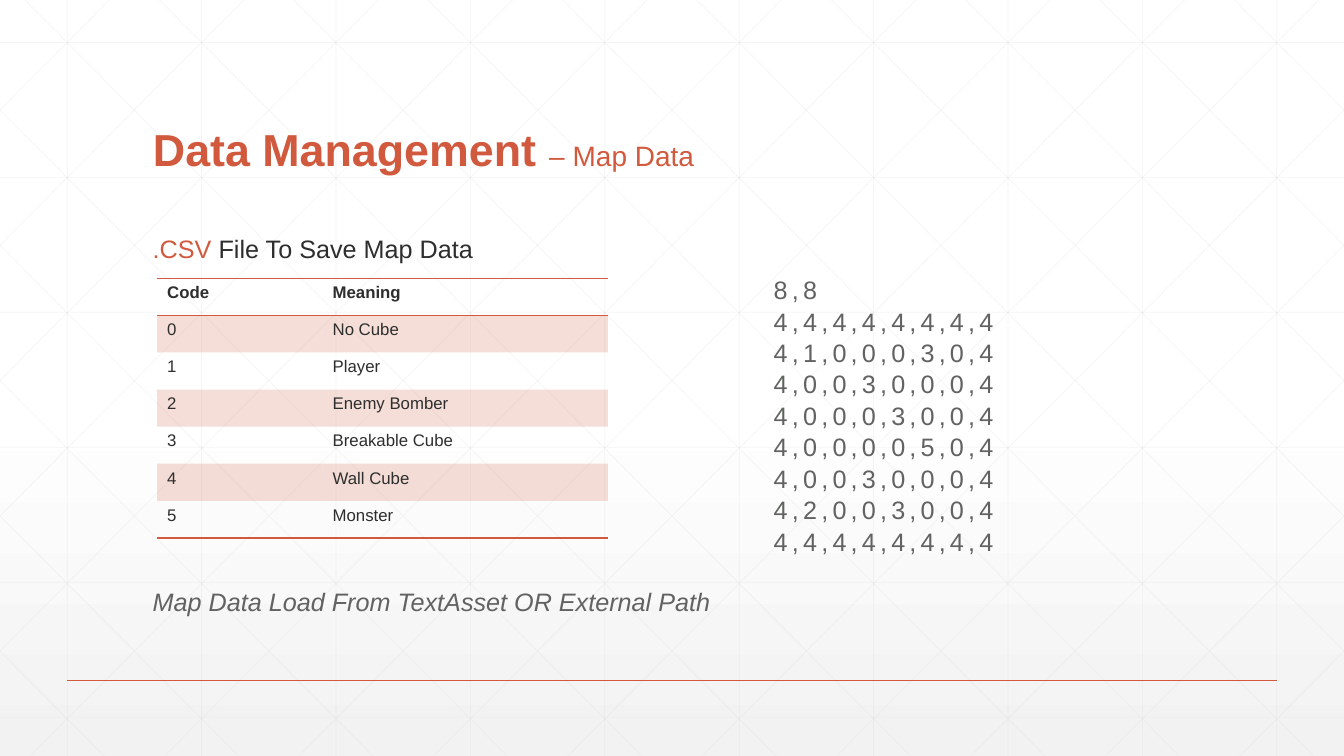
from dataclasses import dataclass

import lxml.etree
import pptx
import pptx.dml.color
import pptx.enum.shapes
import pptx.enum.text
import pptx.oxml.ns
import pptx.util

Cm = pptx.util.Cm
Pt = pptx.util.Pt
qn = pptx.oxml.ns.qn
NO_TABLE_STYLE = "{2D5ABB26-0587-4C30-8999-92F81FD0307C}"


@dataclass(frozen=True)
class Theme:
    """Colours, font and type sizes of the slide."""
    accent: str = "D15A3E"
    dark: str = "2D2E2D"
    muted: str = "616361"
    grid: str = "D9D9D9"
    white: str = "FFFFFF"
    shade: str = "F2F2F2"
    font: str = "Arial"
    title: int = 32
    subtitle: int = 20
    body: int = 18
    cell: int = 12


THEME = Theme()
WIDTH, HEIGHT = 33.87, 19.05

CODES = [
    ("Code", "Meaning"),
    ("0", "No Cube"),
    ("1", "Player"),
    ("2", "Enemy Bomber"),
    ("3", "Breakable Cube"),
    ("4", "Wall Cube"),
    ("5", "Monster"),
]
MAP_ROWS = [
    "8,8",
    "4,4,4,4,4,4,4,4",
    "4,1,0,0,0,3,0,4",
    "4,0,0,3,0,0,0,4",
    "4,0,0,0,3,0,0,4",
    "4,0,0,0,0,5,0,4",
    "4,0,0,3,0,0,0,4",
    "4,2,0,0,3,0,0,4",
    "4,4,4,4,4,4,4,4",
]


def rgb(color):
    """Turn a hex string into a colour value."""
    return pptx.dml.color.RGBColor.from_string(color)


def set_alpha(fill_parent, percent):
    """Make the solid colour below an element partly transparent."""
    color = next(fill_parent.iter(qn("a:srgbClr")))
    lxml.etree.SubElement(color, qn("a:alpha")).set("val", str(percent * 1000))


def format_run(run, size, color, bold=False, italic=False):
    """Apply the theme font and the given style to a run."""
    run.font.name = THEME.font
    run.font.size = Pt(size)
    run.font.color.rgb = rgb(color)
    run.font.bold = bold
    run.font.italic = italic


def add_run(paragraph, text, size, color, **style):
    """Append a formatted run to a paragraph."""
    run = paragraph.add_run()
    run.text = text
    format_run(run, size, color, **style)


def add_line(slide, start, end, color, width, alpha=None):
    """Draw a straight line between two points in centimetres."""
    line = slide.shapes.add_connector(
        pptx.enum.shapes.MSO_CONNECTOR.STRAIGHT,
        Cm(start[0]), Cm(start[1]), Cm(end[0]), Cm(end[1]))
    line.line.color.rgb = rgb(color)
    line.line.width = Pt(width)
    properties = line.element.spPr
    if alpha:
        set_alpha(properties, alpha)
    lxml.etree.SubElement(properties, qn("a:effectLst"))


def add_text_box(slide, box, wrap):
    """Add a text box that grows with its text and return its frame."""
    frame = slide.shapes.add_textbox(*map(Cm, box)).text_frame
    frame.word_wrap = wrap
    frame.auto_size = pptx.enum.text.MSO_AUTO_SIZE.SHAPE_TO_FIT_TEXT
    frame.paragraphs[0].line_spacing = 1.04
    return frame


def add_backdrop(slide, width, height):
    """Fill the background and draw the lattice and the base line."""
    fill = slide.background.fill
    fill.gradient()
    fill.gradient_angle = 270
    for stop, position, color in zip(
            fill.gradient_stops, (0.53, 1), (THEME.white, THEME.shade)):
        stop.position = position
        stop.color.rgb = rgb(color)

    step = width / 10
    lines = [((step * (i + 0.5), 0), (step * (i + 0.5), height)) for i in range(10)]
    lines += [((0, 1.07 + 3.4 * i), (width, 1.07 + 3.4 * i)) for i in range(6)]
    run = 18.93
    slope = height / run
    for i in range(-5, 10):
        origin = 0.63 + step * i
        left, right = max(origin, 0), min(origin + run, width)
        top, bottom = (left - origin) * slope, (right - origin) * slope
        lines.append(((left, top), (right, bottom)))
        lines.append(((width - left, top), (width - right, bottom)))
    for start, end in lines:
        add_line(slide, start, end, THEME.grid, 0.5, alpha=25)
    add_line(slide, (step / 2, 17.15), (width - step / 2, 17.15), THEME.accent, 1)


def add_title(slide, box):
    """Place and format the title above the backdrop."""
    title = slide.shapes.title
    title.element.getparent().append(title.element)
    title.left, title.top, title.width, title.height = map(Cm, box)
    frame = title.text_frame
    frame.vertical_anchor = pptx.enum.text.MSO_ANCHOR.BOTTOM
    frame.auto_size = pptx.enum.text.MSO_AUTO_SIZE.NONE
    paragraph = frame.paragraphs[0]
    paragraph.alignment = pptx.enum.text.PP_ALIGN.LEFT
    paragraph.line_spacing = 0.9
    add_run(paragraph, "Data Management ", THEME.title, THEME.accent, bold=True)
    add_run(paragraph, "– Map Data", THEME.subtitle, THEME.accent)


def add_file_heading(slide, box):
    """Add the heading over the code table."""
    paragraph = add_text_box(slide, box, wrap=False).paragraphs[0]
    add_run(paragraph, ".CSV ", THEME.body, THEME.accent)
    add_run(paragraph, "File To Save Map Data", THEME.body, THEME.dark)


def add_map_listing(slide, box):
    """List the map rows with wide letter spacing."""
    frame = add_text_box(slide, box, wrap=True)
    frame.text = "\n".join(MAP_ROWS)
    for paragraph in frame.paragraphs:
        paragraph.line_spacing = 1.04
        for run in paragraph.runs:
            format_run(run, THEME.body, THEME.muted)
            run.font._element.set("spc", "300")


def add_border(cell, side):
    """Draw an accent border on one side of a cell."""
    border = lxml.etree.SubElement(
        cell._tc.get_or_add_tcPr(), qn(f"a:ln{side}"), w=str(Pt(1)))
    fill = lxml.etree.SubElement(border, qn("a:solidFill"))
    lxml.etree.SubElement(fill, qn("a:srgbClr"), val=THEME.accent)


def add_code_table(slide, box):
    """Add the banded table of cube codes."""
    frame = slide.shapes.add_table(len(CODES), 2, *map(Cm, box))
    next(frame.element.iter(qn("a:tableStyleId"))).text = NO_TABLE_STYLE
    table = frame.table
    for column, width in zip(table.columns, (4.17, box[2] - 4.17)):
        column.width = Cm(width)
    last = len(CODES) - 1
    for i, row in enumerate(CODES):
        for j, text in enumerate(row):
            cell = table.cell(i, j)
            cell.text_frame.text = text
            format_run(cell.text_frame.paragraphs[0].runs[0],
                       THEME.cell, THEME.dark, bold=i == 0)
            for side in {0: "TB", last: "B"}.get(i, ""):
                add_border(cell, side)
            if i % 2:
                cell.fill.solid()
                cell.fill.fore_color.rgb = rgb(THEME.accent)
                set_alpha(cell._tc.tcPr, 20)
            else:
                cell.fill.background()


def add_loading_note(slide, box):
    """Add the closing note on where map data comes from."""
    paragraph = add_text_box(slide, box, wrap=False).paragraphs[0]
    add_run(paragraph, "Map Data Load From TextAsset OR External Path",
            THEME.body, THEME.muted, italic=True)


def main():
    """Build the slide and save the presentation."""
    presentation = pptx.Presentation()
    presentation.slide_width = Cm(WIDTH)
    presentation.slide_height = Cm(HEIGHT)
    slide = presentation.slides.add_slide(presentation.slide_layouts[5])
    add_backdrop(slide, WIDTH, HEIGHT)
    add_title(slide, (3.6, 1.4, 26.67, 3.18))
    add_file_heading(slide, (3.6, 5.72, 8.66, 1.02))
    add_map_listing(slide, (19.25, 6.76, 8.08, 7.19))
    add_code_table(slide, (3.96, 7.01, 11.36, 6.55))
    add_loading_note(slide, (3.6, 14.63, 14.68, 1.02))
    presentation.save("out.pptx")


if __name__ == "__main__":
    main()
